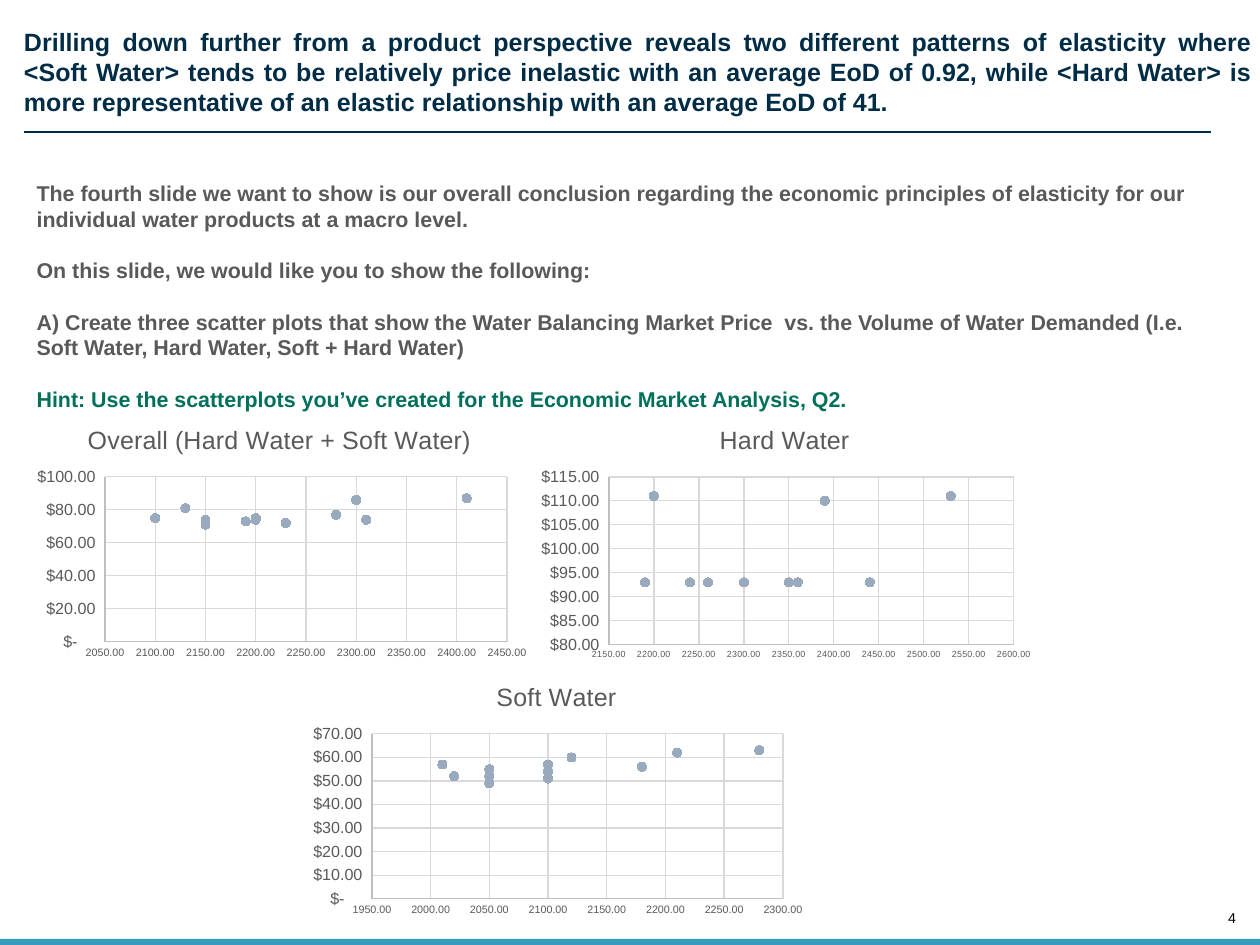
import pptx
import pptx.chart.data
import pptx.dml.color
import pptx.enum.chart
import pptx.enum.shapes
import pptx.enum.text
import pptx.oxml
import pptx.oxml.ns
import pptx.util

PX = 7112  # EMU per px
COLORS = {
    "navy": "002C46", "gray": "595959", "green": "00705B", "teal": "379BBD",
    "black": "000000", "dot": "99AABE", "axis": "BFBFBF", "grid": "D9D9D9",
}
DOLLARS = '_("$"* #,##0.00_);_("$"* \\(#,##0.00\\);_("$"* "-"??_);_(@_)'
CHART_WIDTH, CHART_HEIGHT = 514, 257
TITLE_TOP = 11

HEADLINE = (
    "Drilling down further from a product perspective reveals two different patterns of "
    "elasticity where\v<Soft Water> tends to be relatively price inelastic with an average "
    "EoD of 0.92, while <Hard Water> is more representative of an elastic relationship with "
    "an average EoD of 41."
)
BODY = [
    ("The fourth slide we want to show is our overall conclusion regarding the economic "
     "principles of elasticity for our individual water products at a macro level.", "gray"),
    ("On this slide, we would like you to show the following:", "gray"),
    ("A) Create three scatter plots that show the Water Balancing Market Price  vs. the "
     "Volume of Water Demanded (I.e. Soft Water, Hard Water, Soft + Hard Water)", "gray"),
    ("Hint: Use the scatterplots you’ve created for the Economic Market Analysis, Q2.", "green"),
]
# Boxes are left, top, width, height; axes are minimum, maximum, step.
SCATTERS = [
    dict(title="Overall (Hard Water + Soft Water)", left=22, top=408, title_left=61,
         plot=(83, 69, 402, 165), volume=(2050, 2450, 50), price=(0, 100, 20), volume_size=6,
         points=[(2300, 86), (2410, 87), (2130, 81), (2190, 73), (2150, 71), (2230, 72),
                 (2280, 77), (2200, 75), (2150, 74), (2100, 75), (2200, 74), (2310, 74)]),
    dict(title="Hard Water", left=527, top=408, title_left=188,
         plot=(82, 69, 405, 168), volume=(2150, 2600, 50), price=(80, 115, 5), volume_size=5,
         points=[(2390, 110), (2530, 111), (2200, 111), (2350, 93), (2240, 93), (2360, 93),
                 (2440, 93), (2300, 93), (2260, 93), (2190, 93), (2300, 93), (2440, 93)]),
    dict(title="Soft Water", left=298, top=665, title_left=194,
         plot=(74, 69, 411, 165), volume=(1950, 2300, 50), price=(0, 70, 10), volume_size=6,
         points=[(2210, 62), (2280, 63), (2050, 52), (2020, 52), (2050, 49), (2100, 51),
                 (2120, 60), (2100, 57), (2050, 55), (2010, 57), (2100, 54), (2180, 56)]),
]


def color(name):
    return pptx.dml.color.RGBColor.from_string(COLORS[name])


def manual_layout(left, top, width=None, height=None):
    """Return a c:layout element for a box in px within a chart."""
    parts = ['<c:layoutTarget val="inner"/>'] if width else []
    parts += ['<c:xMode val="edge"/>', '<c:yMode val="edge"/>']
    for tag, length, whole in (("x", left, CHART_WIDTH), ("y", top, CHART_HEIGHT),
                               ("w", width, CHART_WIDTH), ("h", height, CHART_HEIGHT)):
        if length is not None:
            parts.append(f'<c:{tag} val="{length / whole:.4f}"/>')
    return pptx.oxml.parse_xml(
        f'<c:layout {pptx.oxml.ns.nsdecls("c")}><c:manualLayout>{"".join(parts)}'
        "</c:manualLayout></c:layout>")


class SlideBuilder:
    def __init__(self, page, font="Arial"):
        self.page = page
        self.font = font

    def style(self, font, size, color_name, bold=False):
        font.name = self.font
        font.size = pptx.util.Pt(size)
        font.bold = bold
        font.color.rgb = color(color_name)

    def place(self, box, left, top, width, height):
        box.left, box.top, box.width, box.height = (
            length * PX for length in (left, top, width, height))

    def frame(self, box, anchor, inset=True):
        frame = box.text_frame
        frame.word_wrap = True
        frame.vertical_anchor = anchor
        if not inset:
            frame.margin_left = frame.margin_right = frame.margin_top = frame.margin_bottom = 0
        return frame

    def title(self, text, *bounds):
        box = self.page.shapes.title
        self.place(box, *bounds)
        frame = self.frame(box, pptx.enum.text.MSO_ANCHOR.TOP, inset=False)
        frame.auto_size = pptx.enum.text.MSO_AUTO_SIZE.NONE
        frame.text = text
        para = frame.paragraphs[0]
        para.alignment = pptx.enum.text.PP_ALIGN.JUSTIFY
        self.style(para.font, 14, "navy", bold=True)

    def body(self, items, *bounds):
        box = self.page.shapes.add_textbox(*(length * PX for length in bounds))
        frame = self.frame(box, pptx.enum.text.MSO_ANCHOR.TOP)
        for index, (text, color_name) in enumerate(items):
            para = frame.add_paragraph() if index else frame.paragraphs[0]
            para.text = text
            para.space_before = pptx.util.Pt(14.4 if index else 0)
            self.style(para.font, 12, color_name, bold=True)

    def page_number(self, text, *bounds):
        box = self.page.shapes.add_textbox(*(length * PX for length in bounds))
        frame = self.frame(box, pptx.enum.text.MSO_ANCHOR.BOTTOM, inset=False)
        para = frame.paragraphs[0]
        para.text = text
        para.alignment = pptx.enum.text.PP_ALIGN.RIGHT
        self.style(para.font, 8, "black")

    def bar(self, color_name, *bounds):
        shape = self.page.shapes.add_shape(
            pptx.enum.shapes.MSO_SHAPE.RECTANGLE, *(length * PX for length in bounds))
        shape.shadow.inherit = False
        shape.fill.solid()
        shape.fill.fore_color.rgb = color(color_name)
        shape.line.fill.background()

    def rule(self, color_name, *ends):
        line = self.page.shapes.add_connector(
            pptx.enum.shapes.MSO_CONNECTOR.STRAIGHT, *(length * PX for length in ends))
        self.stroke(line.line, color_name)
        line.element.spPr.append(
            pptx.oxml.parse_xml(f'<a:effectLst {pptx.oxml.ns.nsdecls("a")}/>'))

    def stroke(self, line, color_name):
        line.color.rgb = color(color_name)
        line.width = pptx.util.Pt(0.75)

    def axis(self, axis, limits, size, number_format):
        axis.minimum_scale, axis.maximum_scale, axis.major_unit = limits
        axis.major_tick_mark = axis.minor_tick_mark = pptx.enum.chart.XL_TICK_MARK.NONE
        axis.has_major_gridlines = True
        self.stroke(axis.major_gridlines.format.line, "grid")
        self.stroke(axis.format.line, "axis")
        labels = axis.tick_labels
        labels.number_format = number_format
        labels.number_format_is_linked = False
        self.style(labels.font, size, "gray")

    def scatter(self, title, left, top, title_left, plot, volume, price, volume_size, points):
        data = pptx.chart.data.XyChartData()
        series_data = data.add_series("Series 1")
        for x, y in points:
            series_data.add_data_point(x, y)
        chart = self.page.shapes.add_chart(
            pptx.enum.chart.XL_CHART_TYPE.XY_SCATTER, left * PX, top * PX,
            CHART_WIDTH * PX, CHART_HEIGHT * PX, data).chart
        self.style(chart.font, 10, "black")
        chart.has_legend = False
        chart.has_title = True
        chart.chart_title.include_in_layout = False
        heading = chart.chart_title.text_frame
        heading.text = title
        self.style(heading.paragraphs[0].font, 14, "gray")
        self.axis(chart.category_axis, volume, volume_size, "0.00")
        self.axis(chart.value_axis, price, 9, DOLLARS)

        chart.plots[0].vary_by_categories = False
        series = chart.plots[0].series[0]
        series.smooth = False
        series.format.line.fill.background()
        marker = series.marker
        marker.style = pptx.enum.chart.XL_MARKER_STYLE.CIRCLE
        marker.size = 5
        marker.format.fill.solid()
        marker.format.fill.fore_color.rgb = color("dot")
        self.stroke(marker.format.line, "dot")

        for old in chart.element.xpath("c:chart/c:title/c:layout | c:chart/c:plotArea/c:layout"):
            old.getparent().remove(old)
        chart.element.xpath("c:chart/c:title/c:tx")[0].addnext(
            manual_layout(title_left, TITLE_TOP))
        chart.element.xpath("c:chart/c:plotArea")[0].insert(0, manual_layout(*plot))


def main():
    deck = pptx.Presentation()
    deck.slide_width, deck.slide_height = 1260 * PX, 945 * PX
    builder = SlideBuilder(deck.slides.add_slide(deck.slide_layouts.get_by_name("Title Only")))
    builder.page_number("4", 1218, 909, 18, 17)
    builder.bar("teal", 0, 939, 1260, 6)
    builder.title(HEADLINE, 24, 26, 1229, 91)
    builder.rule("navy", 24, 132, 1211, 132)
    builder.body(BODY, 24, 174, 1187, 247)
    for scatter in SCATTERS:
        builder.scatter(**scatter)
    deck.save("out.pptx")


if __name__ == "__main__":
    main()
